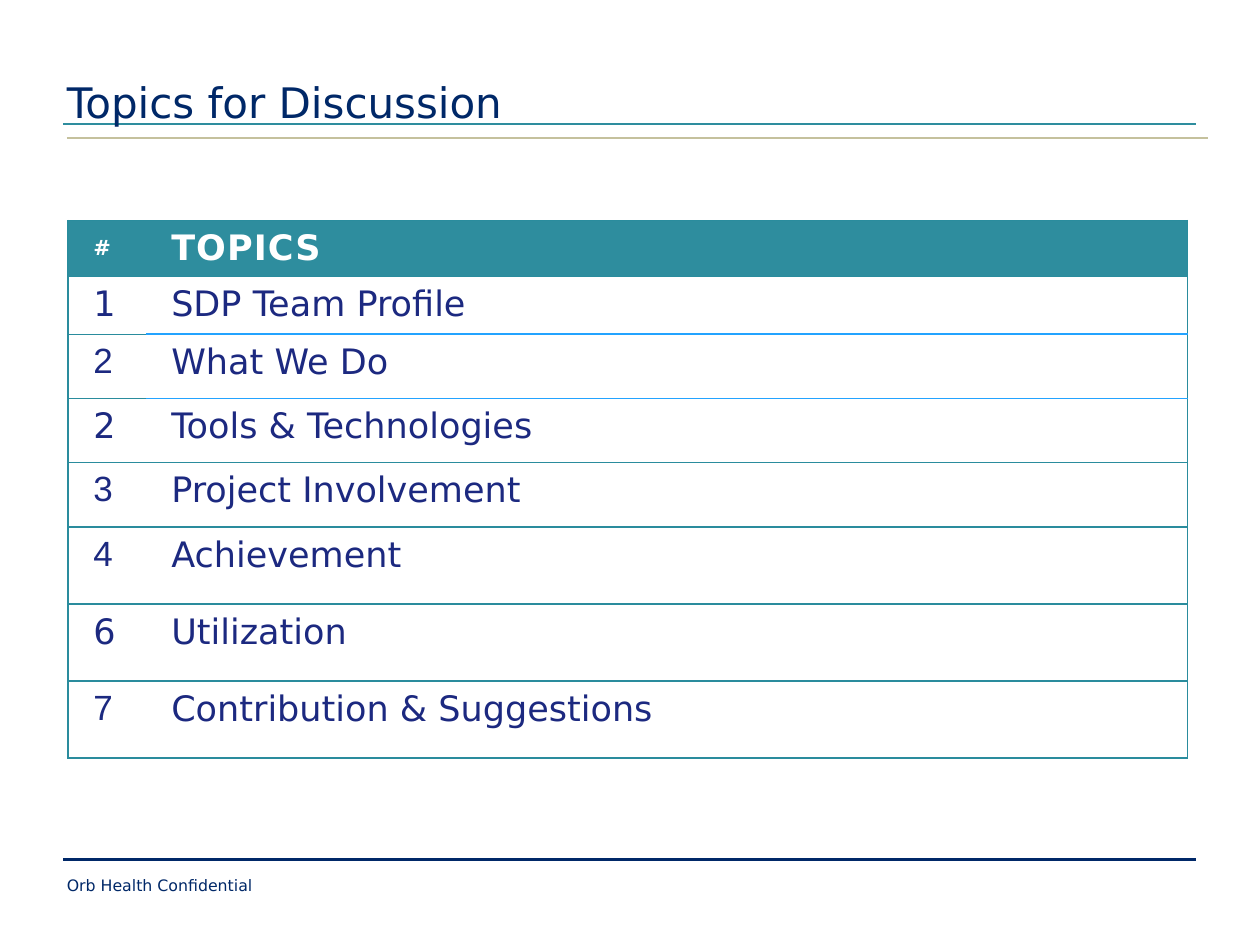
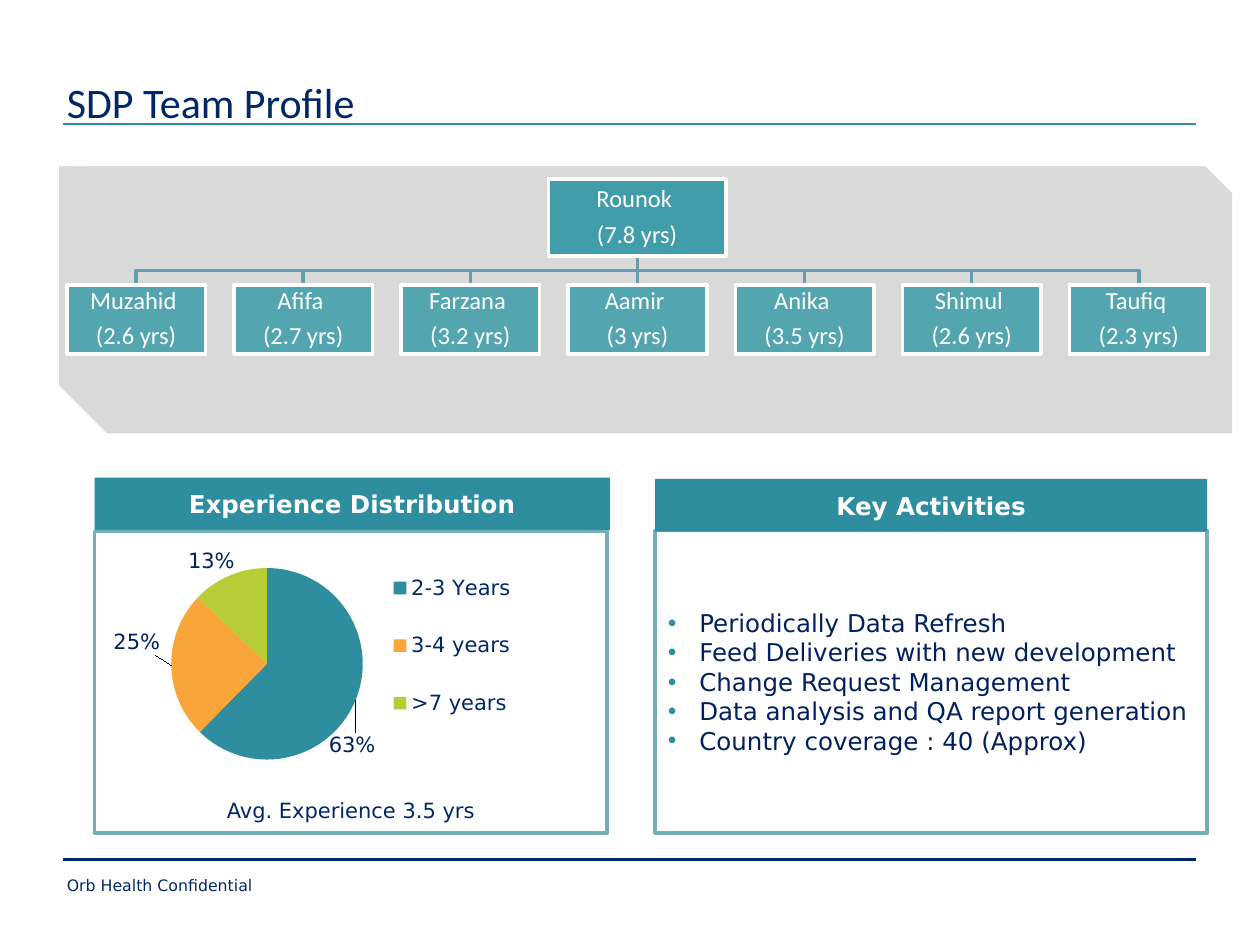
from lxml.etree import SubElement
from pptx import Presentation
from pptx.chart.data import CategoryChartData as Data
from pptx.dml.color import RGBColor as RGB
from pptx.enum.chart import XL_CHART_TYPE as Kind, XL_LEGEND_POSITION as Side
from pptx.enum.chart import XL_LABEL_POSITION as Spot
from pptx.enum.shapes import MSO_CONNECTOR as Link, MSO_SHAPE as Form
from pptx.enum.text import MSO_ANCHOR as Anchor, MSO_AUTO_SIZE as Fit
from pptx.enum.text import PP_ALIGN as Align
from pptx.oxml import parse_xml
from pptx.oxml.ns import nsdecls, qn
from pptx.util import Pt

NAVY = RGB(0x00, 0x28, 0x68)
INK = RGB(0x00, 0x20, 0x60)
BLUE = RGB(0x1C, 0x29, 0x80)
SKY = RGB(0x23, 0xA3, 0xFF)
TEAL = RGB(0x2E, 0x8D, 0x9E)
EDGE = RGB(0x2A, 0x8C, 0x9D)
NODE = RGB(0x1B, 0x8F, 0x9E)
WIRE = RGB(0x60, 0x9F, 0xAB)
FRAME = RGB(0x73, 0xAF, 0xB6)
SAND = RGB(0xC5, 0xC1, 0x9D)
GRAY = RGB(0xD9, 0xD9, 0xD9)
AMBER = RGB(0xFA, 0xA5, 0x3A)
LIME = RGB(0xB7, 0xCC, 0x37)
WHITE = RGB(0xFF, 0xFF, 0xFF)

SANS, ARIAL, CALIBRI = "DejaVu Sans", "Arial", "Calibri"

TOPICS = [("1", SANS, "SDP Team Profile"), ("2", ARIAL, "What We Do"),
          ("2", SANS, "Tools & Technologies"), ("3", ARIAL, "Project Involvement"),
          ("4", ARIAL, "Achievement"), ("6", SANS, "Utilization"),
          ("7", ARIAL, "Contribution & Suggestions")]
ROWS = [32, 33] + [36.75] * 3 + [44] * 3
TEAM = [("Muzahid", "2.6"), ("Afifa", "2.7"), ("Farzana", "3.2"), ("Aamir", "3"),
        ("Anika", "3.5"), ("Shimul", "2.6"), ("Taufiq", "2.3")]
TASKS = ["Periodically Data Refresh", "Feed Deliveries with new development",
         "Change Request Management", "Data analysis and QA report generation",
         "Country coverage : 40 (Approx)"]
YEARS = [("2-3 Years", 63, TEAL, (-0.08, 0.13)),
         ("3-4 years", 25, AMBER, (-0.02, -0.1)),
         (">7 years", 13, LIME, (0.02, 0.02))]


def style(font, size, color, face=SANS, bold=False):
    """Set the look of a font."""
    font.size, font.name, font.bold = Pt(size), face, bold
    font.color.rgb = color


def write(frame, text, size, color, face=SANS, bold=False, align=Align.LEFT):
    """Fill a text frame and format its runs."""
    frame.text = text
    for para in frame.paragraphs:
        para.alignment = align
        for run in para.runs:
            style(run.font, size, color, face, bold)


def inset(frame, pad, anchor):
    """Give a text frame equal margins, an anchor and wrapping."""
    frame.margin_left = frame.margin_right = Pt(pad)
    frame.margin_top = frame.margin_bottom = Pt(pad)
    frame.vertical_anchor = anchor
    frame.word_wrap, frame.auto_size = True, Fit.NONE


def place(shape, x, y, w, h):
    """Move and size a shape."""
    shape.left, shape.top, shape.width, shape.height = map(Pt, (x, y, w, h))


def paint(shape, fill=None, line=None):
    """Set fill and outline, with none where no colour is given."""
    if fill is None:
        shape.fill.background()
    else:
        shape.fill.solid()
        shape.fill.fore_color.rgb = fill
    if line is None:
        shape.line.fill.background()
    else:
        shape.line.color.rgb = line
        shape.line.width = Pt(2)


def box(slide, x, y, w, h, fill=None, line=None, form=Form.RECTANGLE):
    """Add a flat preset shape."""
    shape = slide.shapes.add_shape(form, *map(Pt, (x, y, w, h)))
    shape.shadow.inherit = False
    paint(shape, fill, line)
    return shape


def rule(slide, x1, y1, x2, y2, color, width):
    """Add a straight line without a shadow."""
    line = slide.shapes.add_connector(Link.STRAIGHT, *map(Pt, (x1, y1, x2, y2)))
    line.line.color.rgb = color
    line.line.width = Pt(width)
    SubElement(line.element.spPr, qn("a:effectLst"))
    return line


def label(slide, x, y, w, h, text, size, align=Align.LEFT, pad=0):
    """Add a wrapped text box."""
    frame = slide.shapes.add_textbox(*map(Pt, (x, y, w, h))).text_frame
    inset(frame, pad, Anchor.TOP)
    write(frame, text, size, NAVY, align=align)


def start(prs, layout, title, face=SANS):
    """Add a slide with its title and footer."""
    slide = prs.slides.add_slide(prs.slide_layouts[layout])
    head = slide.shapes.title
    place(head, 38.2, 5.4, 652.3, 67)
    inset(head.text_frame, 0, Anchor.BOTTOM)
    write(head.text_frame, title, 24, NAVY, face)
    label(slide, 38.2, 500.4, 540, 10.8, "Orb Health Confidential", 9)
    return slide


def bands(prs, slide):
    """Draw the shared lines and hand them to the master."""
    for x1, x2, y, color, width in ((36, 683.3, 70.8, TEAL, 1.5),
                                    (36, 683.3, 491, NAVY, 1.5),
                                    (38.2, 690.5, 78.7, SAND, 1.25)):
        line = rule(slide, x1, y, x2, y, color, width)
        prs.slide_master.shapes.element.append(line.element)


def edge(cell, **sides):
    """Draw the given sides of a cell and clear the others."""
    props = cell._tc.get_or_add_tcPr()
    for spot, side in enumerate("LRTB"):
        color, width = sides.get(side, (None, 0))
        fill = "<a:noFill/>"
        if color is not None:
            fill = f'<a:solidFill><a:srgbClr val="{color}"/></a:solidFill>'
        props.insert(spot, parse_xml(
            f'<a:ln{side} {nsdecls("a")} w="{Pt(width)}">{fill}</a:ln{side}>'))


def fill_cell(cell, text, size, color, face, head):
    """Write one table cell."""
    cell.margin_left = cell.margin_right = Pt(14.4)
    cell.margin_top = cell.margin_bottom = Pt(4.3)
    cell.vertical_anchor = Anchor.MIDDLE if head else Anchor.TOP
    cell.fill.solid()
    cell.fill.fore_color.rgb = TEAL if head else WHITE
    write(cell.text_frame, text, size, color, face, head)
    if head:
        cell.text_frame.paragraphs[0].runs[0].font._element.set("spc", "60")


def topics(slide):
    """Add the table of topics."""
    table = slide.shapes.add_table(
        len(ROWS), 2, *map(Pt, (38.9, 126, 639.9, sum(ROWS)))).table
    for col, width in zip(table.columns, (44.6, 595.3)):
        col.width = Pt(width)
    thin, bright = (EDGE, 0.75), (SKY, 1)
    for i, (num, face, name) in enumerate([("#", SANS, "TOPICS")] + TOPICS):
        table.rows[i].height = Pt(ROWS[i])
        head = i == 0
        color = WHITE if head else BLUE
        left, right = table.cell(i, 0), table.cell(i, 1)
        fill_cell(left, num, 12 if head else 20, color, face, head)
        fill_cell(right, name, 20, color, SANS, head)
        edge(left, L=thin, T=thin, B=thin)
        edge(right, R=thin, T=bright if i in (2, 3) else thin,
             B=bright if i in (1, 2) else thin)


def node(slide, x, y, w, h, name, years, alpha):
    """Add one see-through box of the team tree."""
    shape = box(slide, x, y, w, h, NODE, WHITE)
    color = shape.element.spPr.find(qn("a:solidFill")).find(qn("a:srgbClr"))
    SubElement(color, qn("a:alpha"), val=str(alpha * 1000))
    frame = shape.text_frame
    inset(frame, 0.7, Anchor.MIDDLE)
    write(frame, f"{name} \n({years} yrs)", 14, WHITE, CALIBRI, align=Align.CENTER)
    for para in frame.paragraphs:
        para.line_spacing, para.space_after = 0.9, Pt(5)


def tree(slide):
    """Draw the lead, the team and the lines between them."""
    left, step, wide, mid = 38.2, 95.5, 79.2, 364.3
    top, bend, low = 146.2, 154.5, 162.7
    for i in range(len(TEAM)):
        x = left + i * step + wide / 2
        if i == len(TEAM) // 2:
            rule(slide, mid, top, mid, low, WIRE, 2)
            continue
        pen = slide.shapes.build_freeform(Pt(mid), Pt(top))
        pen.add_line_segments([(Pt(mid), Pt(bend)), (Pt(x), Pt(bend)),
                               (Pt(x), Pt(low))], close=False)
        wire = pen.convert_to_shape()
        wire.shadow.inherit = False
        paint(wire, line=WIRE)
    node(slide, mid - 51, 102.3, 101.5, 43.9, "Rounok", "7.8", 80)
    for i, (name, years) in enumerate(TEAM):
        node(slide, left + i * step, low, wide, 39.6, name, years, 70)


def layout(*spots, head=""):
    """Make a chart layout from x, y and, if given, w and h."""
    sizes = "".join(f'<c:{a} val="{v}"/>' for a, v in zip("xywh", spots))
    return parse_xml(f'<c:layout {nsdecls("c")}><c:manualLayout>{head}'
                     f'{sizes}</c:manualLayout></c:layout>')


def fix(chart):
    """Pin the plot and the legend of a chart."""
    for old in list(chart.element.iter(qn("c:layout"))):
        old.getparent().remove(old)
    modes = '<c:xMode val="edge"/><c:yMode val="edge"/>'
    inner = '<c:layoutTarget val="inner"/>' + modes
    area = chart.element.find(".//" + qn("c:plotArea"))
    area.insert(0, layout(0.12, 0.16, 0.49, 0.84, head=inner))
    side = chart.element.find(".//" + qn("c:legendPos"))
    side.addnext(layout(0.64, 0.05, 0.33, 0.9, head=modes))


def pie(slide):
    """Add the chart of experience."""
    data = Data(number_format='0"%"')
    data.categories = [row[0] for row in YEARS]
    data.add_series("Series 1", [row[1] for row in YEARS])
    chart = slide.shapes.add_chart(
        Kind.PIE, *map(Pt, (64.8, 303.8, 240.5, 130.3)), data).chart
    style(chart.font, 18, NAVY)
    chart.has_title, chart.has_legend = False, True
    chart.legend.position = Side.RIGHT
    chart.legend.include_in_layout = True
    style(chart.legend.font, 12, NAVY)
    fix(chart)
    chart.plots[0].vary_by_categories = True
    series = chart.plots[0].series[0]
    tags = series.data_labels
    tags.show_value, tags.show_percentage = True, False
    tags.number_format, tags.number_format_is_linked = '0"%"', False
    tags.position = Spot.OUTSIDE_END
    style(tags.font, 12, INK)
    for i, (_, _, color, shift) in enumerate(YEARS):
        point = series.points[i]
        point.format.fill.solid()
        point.format.fill.fore_color.rgb = color
        point.format.line.fill.background()
        style(point.data_label.font, 12, INK)
        point.data_label.position = Spot.OUTSIDE_END
        tag = chart.element.findall(".//" + qn("c:dLbl"))[i]
        tag.insert(1, layout(*shift))
        tag.insert(2, parse_xml(f'<c:numFmt {nsdecls("c")} sourceLinked="0" '
                                'formatCode="0&quot;%&quot;"/>'))
    for group in chart.element.iter(qn("c:dLbls")):
        for body in group.iter(qn("a:bodyPr")):
            body.set("wrap", "none")


def banner(slide, x, y, w, text):
    """Add the heading bar of a panel."""
    frame = box(slide, x, y, w, 30.2, TEAL).text_frame
    inset(frame, 3.6, Anchor.MIDDLE)
    write(frame, text, 14, WHITE, bold=True, align=Align.CENTER)


def tasks(slide):
    """Format the body placeholder as the framed list."""
    body = slide.placeholders[1]
    place(body, 374.4, 303.1, 315.4, 172.8)
    paint(body, WHITE, FRAME)
    frame = body.text_frame
    inset(frame, 3.6, Anchor.MIDDLE)
    frame.margin_left = frame.margin_right = Pt(7.2)
    write(frame, "\n".join(TASKS), 14, INK)
    for para in frame.paragraphs:
        para.space_before = para.space_after = Pt(0)
        props = para._p.get_or_add_pPr()
        props.set("marL", str(Pt(18)))
        props.set("indent", str(Pt(-18)))
        tint = SubElement(props, qn("a:buClr"))
        SubElement(tint, qn("a:srgbClr"), val=str(TEAL))
        SubElement(props, qn("a:buFont"), typeface=ARIAL)
        SubElement(props, qn("a:buChar"), char="•")


def main():
    """Build both slides."""
    prs = Presentation()
    prs.slide_width, prs.slide_height = Pt(720), Pt(540)

    slide = start(prs, 5, "Topics for Discussion")
    bands(prs, slide)
    topics(slide)

    slide = start(prs, 1, "SDP Team Profile", CALIBRI)
    box(slide, 33.8, 82.8, 670.3, 164.9, GRAY, form=Form.SNIP_2_DIAG_RECTANGLE)
    box(slide, 38.2, 72.7, 652.3, 22.3, WHITE)
    box(slide, 16.6, 72.7, 36, 22.3, WHITE)
    tree(slide)
    pie(slide)
    banner(slide, 54, 272.9, 294.5, "Experience Distribution")
    box(slide, 54, 303.8, 293, 172.1, line=FRAME)
    label(slide, 54, 452.2, 293, 21.6, "Avg. Experience 3.5 yrs", 12, Align.CENTER, 3.6)
    tasks(slide)
    banner(slide, 374.4, 273.6, 315.4, "Key Activities")
    prs.save("out.pptx")


if __name__ == "__main__":
    main()
